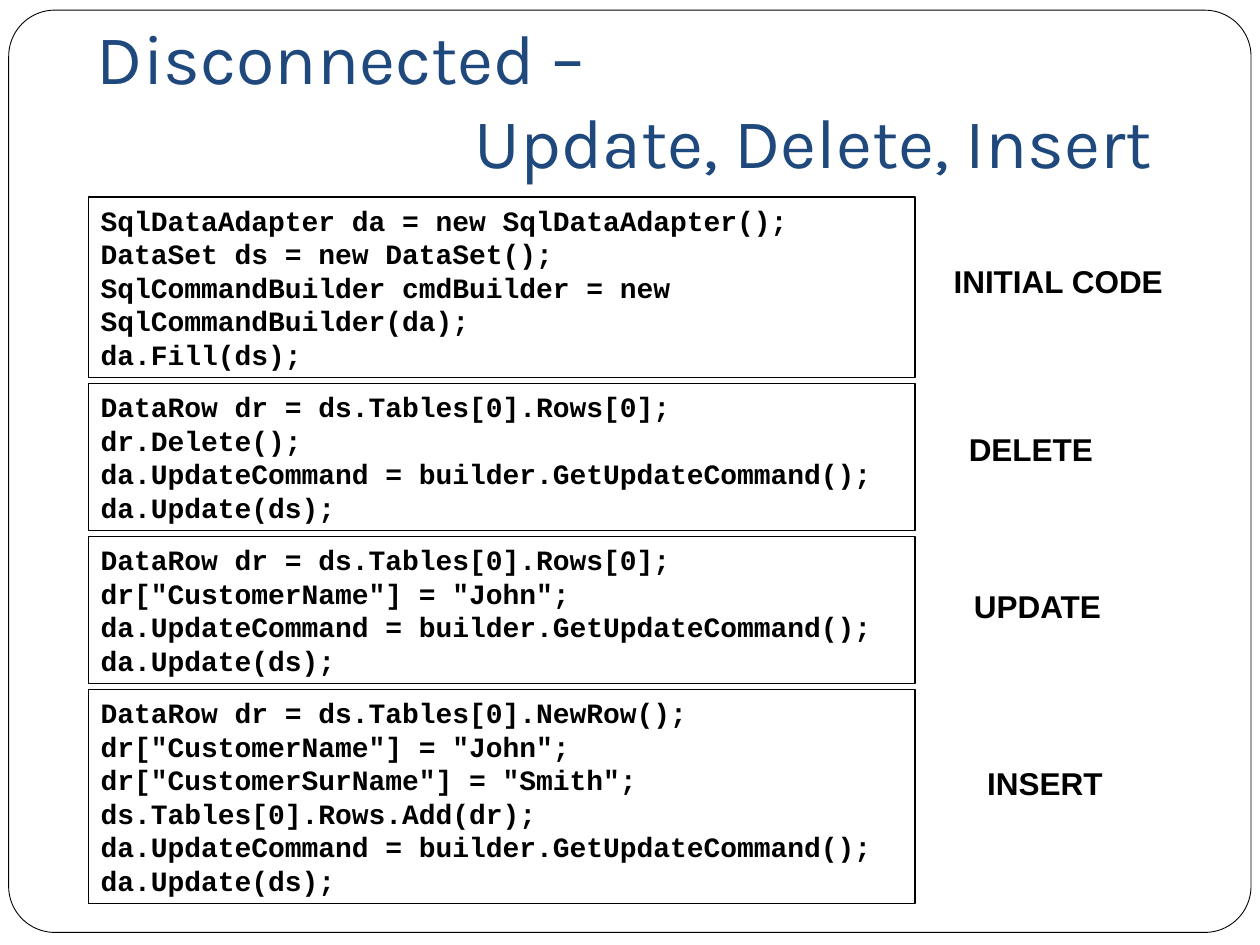
from dataclasses import dataclass

from lxml import etree
from pptx import Presentation
from pptx.dml.color import RGBColor
from pptx.enum.shapes import MSO_SHAPE
from pptx.enum.text import MSO_ANCHOR, MSO_AUTO_SIZE, PP_ALIGN
from pptx.oxml.ns import qn
from pptx.shapes.autoshape import Shape
from pptx.slide import Slide
from pptx.text.text import TextFrame
from pptx.util import Pt


@dataclass(frozen=True)
class Theme:
    ink: RGBColor = RGBColor(0x00, 0x00, 0x00)
    paper: RGBColor = RGBColor(0xFF, 0xFF, 0xFF)
    title: RGBColor = RGBColor(0x1F, 0x49, 0x7D)
    title_font: str = "Karla"
    code_font: str = "Courier New"
    label_font: str = "Arial"
    title_size: float = 40
    code_size: float = 16
    label_size: float = 18


@dataclass(frozen=True)
class Step:
    label: str
    label_left: float
    label_top: float
    label_width: float
    rows: int  # code lines as displayed, after wrapping
    code: tuple[str, ...]


THEME = Theme()
CODE_LEFT, CODE_TOP, CODE_WIDTH = 50.4, 112.5, 472.6
ROW_HEIGHT, CODE_PADDING, CODE_GAP = 19.2, 7.2, 3.4
LABEL_HEIGHT = 28.8

FIRST_ROW = "DataRow dr = ds.Tables[0].Rows[0];"
SET_NAME = 'dr["CustomerName"] = "John";'
SAVE = ("da.UpdateCommand = builder.GetUpdateCommand();", "da.Update(ds);")

STEPS = (
    Step("INITIAL CODE", 537.8, 146.2, 135, 5, (
        "SqlDataAdapter da = new SqlDataAdapter();",
        "DataSet ds = new DataSet();",
        "SqlCommandBuilder cmdBuilder = new SqlCommandBuilder(da);",
        "da.Fill(ds);",
    )),
    Step("DELETE", 546.5, 242.2, 87, 4, (FIRST_ROW, "dr.Delete();", *SAVE)),
    Step("UPDATE", 549.4, 331.9, 90, 4, (FIRST_ROW, SET_NAME, *SAVE)),
    Step("INSERT", 557, 433.2, 82, 6, (
        "DataRow dr = ds.Tables[0].NewRow();",
        SET_NAME,
        'dr["CustomerSurName"] = "Smith";',
        "ds.Tables[0].Rows.Add(dr);",
        *SAVE,
    )),
)


def write(tf: TextFrame, lines: tuple[str, ...], font: str, size: float,
          color: RGBColor, bold: bool) -> None:
    """Fill a text frame with left-aligned paragraphs of one style."""
    for i, line in enumerate(lines):
        p = tf.paragraphs[0] if i == 0 else tf.add_paragraph()
        p.text = line
        p.alignment = PP_ALIGN.LEFT
        p.font.name, p.font.size, p.font.bold = font, Pt(size), bold
        p.font.color.rgb = color


def outline(sp: Shape, width: float) -> None:
    sp.shadow.inherit = False
    sp.line.color.rgb = THEME.ink
    sp.line.width = Pt(width)


def add_title(s: Slide) -> None:
    sp = s.shapes.title
    sp.left, sp.top, sp.width, sp.height = Pt(48.2), Pt(21.6), Pt(635.8), Pt(90)
    tf = sp.text_frame
    tf.auto_size = MSO_AUTO_SIZE.NONE
    tf.vertical_anchor = MSO_ANCHOR.BOTTOM
    tf.margin_bottom = Pt(7.2)
    write(tf, ("Disconnected –\v\tUpdate, Delete, Insert",), THEME.title_font,
          THEME.title_size, THEME.title, False)
    # The tab stop sets the start of the second line
    tabs = etree.Element(qn("a:tabLst"))
    etree.SubElement(tabs, qn("a:tab"), pos=str(Pt(216)), algn="l")
    tf.paragraphs[0].font._element.addprevious(tabs)


def add_frame(s: Slide) -> None:
    sp = s.shapes.add_shape(MSO_SHAPE.ROUNDED_RECTANGLE,
                            Pt(5), Pt(5.8), Pt(709.9), Pt(527))
    sp.adjustments[0] = 0.05
    sp.fill.solid()
    sp.fill.fore_color.rgb = THEME.paper
    outline(sp, 0.5)
    s.shapes.title.element.addprevious(sp.element)  # behind the title


def add_code(s: Slide, step: Step, top: float, height: float) -> None:
    sp = s.shapes.add_shape(MSO_SHAPE.RECTANGLE, Pt(CODE_LEFT), Pt(top),
                            Pt(CODE_WIDTH), Pt(height))
    sp.fill.background()
    outline(sp, 0.75)
    tf = sp.text_frame
    tf.word_wrap = True
    tf.vertical_anchor = MSO_ANCHOR.TOP
    tf.auto_size = MSO_AUTO_SIZE.SHAPE_TO_FIT_TEXT
    write(tf, step.code, THEME.code_font, THEME.code_size, THEME.ink, True)


def add_label(s: Slide, step: Step) -> None:
    sp = s.shapes.add_textbox(Pt(step.label_left), Pt(step.label_top),
                              Pt(step.label_width), Pt(LABEL_HEIGHT))
    tf = sp.text_frame
    tf.word_wrap = False
    tf.auto_size = MSO_AUTO_SIZE.SHAPE_TO_FIT_TEXT
    write(tf, (step.label,), THEME.label_font, THEME.label_size, THEME.ink, True)


def main() -> None:
    prs = Presentation()
    prs.slide_width, prs.slide_height = Pt(720), Pt(540)
    s = prs.slides.add_slide(prs.slide_layouts[5])

    # Title and page frame
    add_title(s)
    add_frame(s)

    # Code boxes stacked with equal gaps, each with its label
    top = CODE_TOP
    for step in STEPS:
        height = CODE_PADDING + step.rows * ROW_HEIGHT
        add_code(s, step, top, height)
        add_label(s, step)
        top += height + CODE_GAP

    prs.save("out.pptx")


if __name__ == "__main__":
    main()
